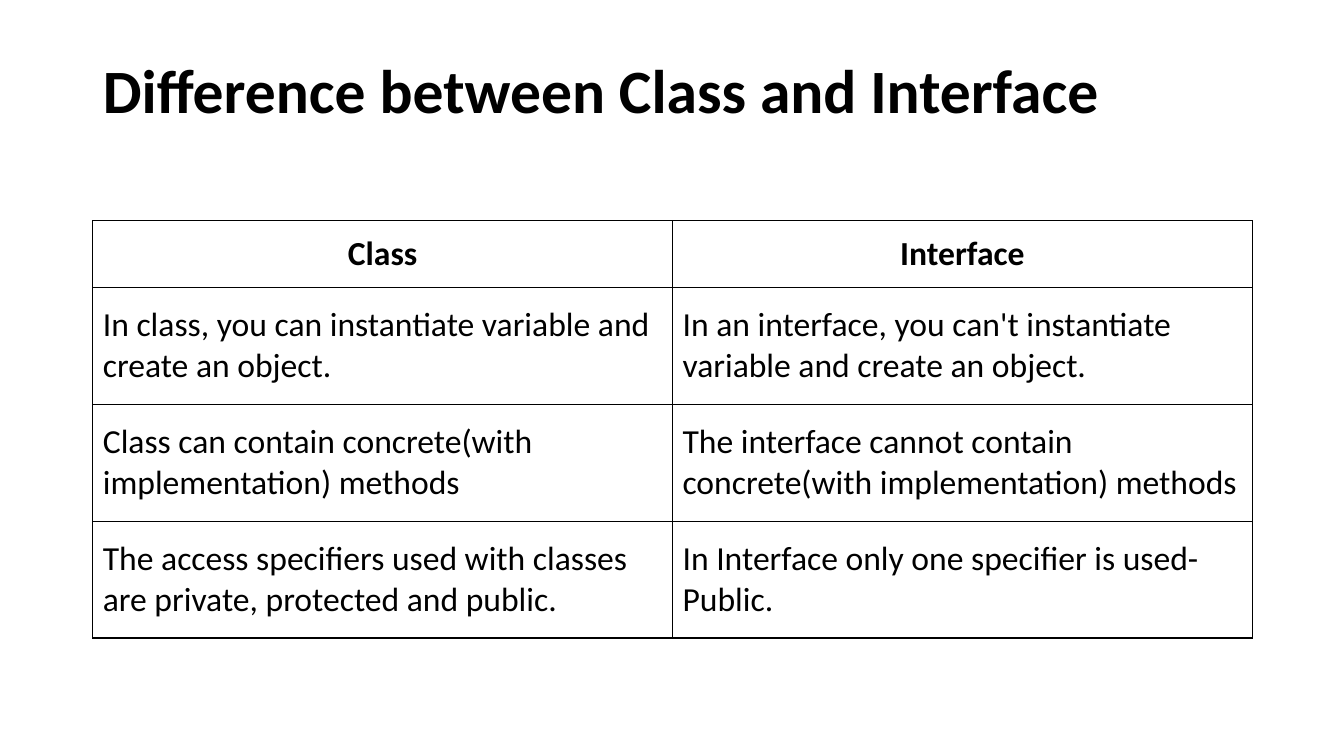
"""Build a slide comparing classes and interfaces in a two-column table."""
from dataclasses import dataclass

from lxml import etree
from pptx import Presentation
from pptx.dml.color import RGBColor
from pptx.enum.text import MSO_ANCHOR, PP_ALIGN
from pptx.oxml.ns import qn
from pptx.util import Inches, Pt

MIDDLE = MSO_ANCHOR.MIDDLE
LEFT, CENTER = PP_ALIGN.LEFT, PP_ALIGN.CENTER
TITLE_ONLY = 5

TITLE = "Difference between Class and Interface"
ROWS = [
    ("Class", "Interface"),
    ("In class, you can instantiate variable and create an object.",
     "In an interface, you can't instantiate variable and create an object."),
    ("Class can contain concrete(with implementation) methods",
     "The interface cannot contain concrete(with implementation) methods"),
    ("The access specifiers used with classes are private, protected and public.",
     "In Interface only one specifier is used- Public."),
]


@dataclass(frozen=True)
class Theme:
    """Colours, font and type sizes of the slide."""
    font: str = "Calibri"
    ink: str = "000000"
    paper: str = "FFFFFF"
    title_size: int = 44
    table_size: int = 24
    border_width: int = 1


THEME = Theme()
MARGIN, CONTENT_WIDTH = 0.92, 11.5
TITLE_TOP, TITLE_HEIGHT = 0.4, 1.06
TABLE_TOP, HEADER_HEIGHT, BODY_HEIGHT = 2.19, 0.66, 1.16


def write_text(text_frame, text, size, bold, alignment, line_spacing=1.0):
    """Fill a text frame with one formatted paragraph."""
    text_frame.text = text
    paragraph = text_frame.paragraphs[0]
    paragraph.alignment = alignment
    paragraph.line_spacing = line_spacing
    font = paragraph.runs[0].font
    font_format = {"name": THEME.font, "size": Pt(size), "bold": bold}
    for name, value in font_format.items():
        setattr(font, name, value)
    font.color.rgb = RGBColor.from_string(THEME.ink)


def add_borders(cell):
    """Draw a solid line on every side of a table cell."""
    properties = cell._tc.get_or_add_tcPr()
    for side in ("lnL", "lnR", "lnT", "lnB"):
        line = etree.SubElement(properties, qn(f"a:{side}"), w=str(Pt(THEME.border_width)))
        fill = etree.SubElement(line, qn("a:solidFill"))
        etree.SubElement(fill, qn("a:srgbClr"), val=THEME.ink)


def add_title(slide):
    """Place and format the title placeholder."""
    title = slide.shapes.title
    position = {"left": MARGIN, "top": TITLE_TOP, "width": CONTENT_WIDTH, "height": TITLE_HEIGHT}
    for name, value in position.items():
        setattr(title, name, Inches(value))
    title.text_frame.word_wrap = True
    title.text_frame.vertical_anchor = MIDDLE
    write_text(title.text_frame, TITLE, THEME.title_size, True, LEFT, 0.9)


def add_comparison(slide):
    """Add the comparison table with its header row."""
    heights = [HEADER_HEIGHT] + [BODY_HEIGHT] * (len(ROWS) - 1)
    frame = slide.shapes.add_table(
        len(ROWS), len(ROWS[0]), Inches(MARGIN), Inches(TABLE_TOP),
        Inches(CONTENT_WIDTH), Inches(sum(heights)))
    table = frame.table
    for column in table.columns:
        column.width = Inches(CONTENT_WIDTH / len(ROWS[0]))
    for row_index, (texts, height) in enumerate(zip(ROWS, heights)):
        table.rows[row_index].height = Inches(height)
        is_header = row_index == 0
        for column_index, text in enumerate(texts):
            cell = table.cell(row_index, column_index)
            cell.vertical_anchor = MIDDLE
            add_borders(cell)
            cell.fill.solid()
            cell.fill.fore_color.rgb = RGBColor.from_string(THEME.paper)
            write_text(cell.text_frame, text, THEME.table_size, is_header,
                       CENTER if is_header else LEFT)


def main():
    """Create and save the presentation."""
    presentation = Presentation()
    presentation.slide_width = Inches(13.33)
    presentation.slide_height = Inches(7.5)
    slide = presentation.slides.add_slide(presentation.slide_layouts[TITLE_ONLY])
    add_title(slide)
    add_comparison(slide)
    presentation.save("out.pptx")


if __name__ == "__main__":
    main()
